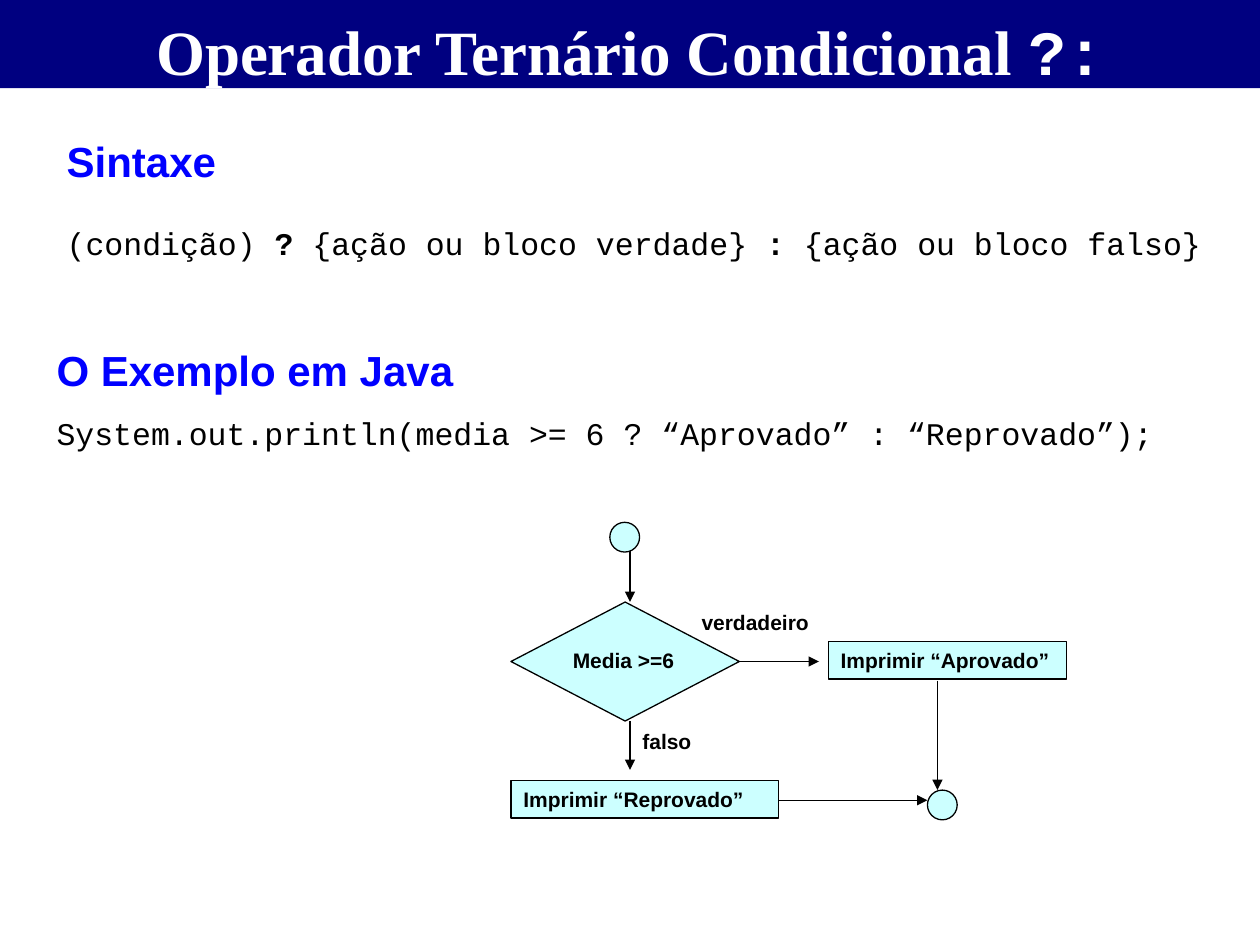
from pptx import Presentation
from pptx.dml.color import RGBColor
from pptx.enum.shapes import MSO_CONNECTOR as CONN, MSO_SHAPE as SHAPE
from pptx.enum.text import MSO_ANCHOR as ANCHOR, PP_ALIGN as ALIGN
from pptx.oxml.ns import qn
from pptx.util import Pt
from lxml.etree import SubElement

NAVY, BLUE, CYAN = "000080", "0000FF", "CCFFFF"
BLACK, WHITE = "000000", "FFFFFF"
LABEL_H, DOT = 21.5, 17


def color(value):
    return RGBColor.from_string(value)


def set_font(font, name, size, value, bold=False):
    font.name, font.size, font.bold = name, Pt(size), bold
    font.color.rgb = color(value)


def add_title(s, text, operator):
    sp = s.shapes.title
    sp.left, sp.top, sp.width, sp.height = Pt(0), Pt(0), Pt(720), Pt(50.4)
    sp.fill.solid()
    sp.fill.fore_color.rgb = color(NAVY)
    tf = sp.text_frame
    tf.vertical_anchor = ANCHOR.TOP
    tf.margin_top, tf.margin_bottom = Pt(7), Pt(0)
    p = tf.paragraphs[0]
    p.alignment = ALIGN.CENTER
    for part, name in ((text, "Times New Roman"), (operator, "Courier New")):
        r = p.add_run()
        r.text = part
        set_font(r.font, name, 36, WHITE, True)


def add_section(s, x, y, w, h, heading, code, gap):
    """Add a heading and a code line; code is a list of (text, bold) runs."""
    tf = s.shapes.add_textbox(Pt(x), Pt(y), Pt(w), Pt(h)).text_frame
    tf.word_wrap = True
    p = tf.paragraphs[0]
    p.text = heading
    p.line_spacing = 0.9
    set_font(p.font, "Arial", 24, BLUE, True)
    p = tf.add_paragraph()
    p.line_spacing, p.space_before = 0.9, Pt(gap)
    for text, bold in code:
        r = p.add_run()
        r.text = text
        set_font(r.font, "Courier New", 18, BLACK, bold)


def add_node(s, kind, x, y, w, h):
    sp = s.shapes.add_shape(kind, Pt(x), Pt(y), Pt(w), Pt(h))
    sp.shadow.inherit = False
    sp.fill.solid()
    sp.fill.fore_color.rgb = color(CYAN)
    sp.line.color.rgb = color(BLACK)
    sp.line.width = Pt(0.75)
    return sp


def write_label(sp, text):
    tf = sp.text_frame
    tf.word_wrap = True
    tf.vertical_anchor = ANCHOR.TOP
    p = tf.paragraphs[0]
    p.text = text
    p.alignment = ALIGN.LEFT
    set_font(p.font, "Arial", 12, BLACK, True)


def add_label(s, text, x, y, w):
    write_label(s.shapes.add_textbox(Pt(x), Pt(y), Pt(w), Pt(LABEL_H)), text)


def add_action(s, text, x, y, w):
    write_label(add_node(s, SHAPE.RECTANGLE, x, y, w, LABEL_H), text)


def add_arrow(s, x1, y1, x2, y2):
    line = s.shapes.add_connector(CONN.STRAIGHT, Pt(x1), Pt(y1), Pt(x2), Pt(y2))
    line.line.color.rgb = color(BLACK)
    line.line.width = Pt(0.75)
    SubElement(line.line._get_or_add_ln(), qn("a:tailEnd"), type="triangle")
    SubElement(line._element.spPr, qn("a:effectLst"))


def add_flowchart(s):
    add_node(s, SHAPE.FLOWCHART_DECISION, 292, 344, 130.5, 68)
    add_label(s, "Media >=6", 320.2, 366.5, 79)
    add_arrow(s, 360, 310, 360, 344)
    add_arrow(s, 360, 412, 360, 440)
    add_arrow(s, 422.5, 378, 468, 378)
    add_arrow(s, 445, 457.3, 530, 457.3)
    add_arrow(s, 535.7, 389, 535.7, 451.5)
    for x, y in ((348.5, 298.5), (530, 451.5)):
        add_node(s, SHAPE.FLOWCHART_CONNECTOR, x, y, DOT, DOT)
    add_action(s, "Imprimir “Aprovado”", 473.3, 366.5, 136)
    add_action(s, "Imprimir “Reprovado”", 292, 446, 153)
    add_label(s, "verdadeiro", 393.8, 344.9, 85)
    add_label(s, "falso", 360, 412.8, 45.5)


def main():
    prs = Presentation()
    prs.slide_width, prs.slide_height = Pt(720), Pt(540)
    s = prs.slides.add_slide(prs.slide_layouts[5])
    add_title(s, "Operador Ternário Condicional ", "?:")
    add_section(s, 31, 77, 669, 102, "Sintaxe", [
        ("(condição) ", False), ("? ", True),
        ("{ação ou bloco verdade} ", False), (": ", True),
        ("{ação ou bloco falso}", False)], 24)
    add_section(s, 25.2, 196.5, 663, 85, "O Exemplo em Java", [
        ("System.out.println(media >= 6 ? “Aprovado” : “Reprovado”);", False)], 13)
    add_flowchart(s)
    prs.save("out.pptx")


if __name__ == "__main__":
    main()
